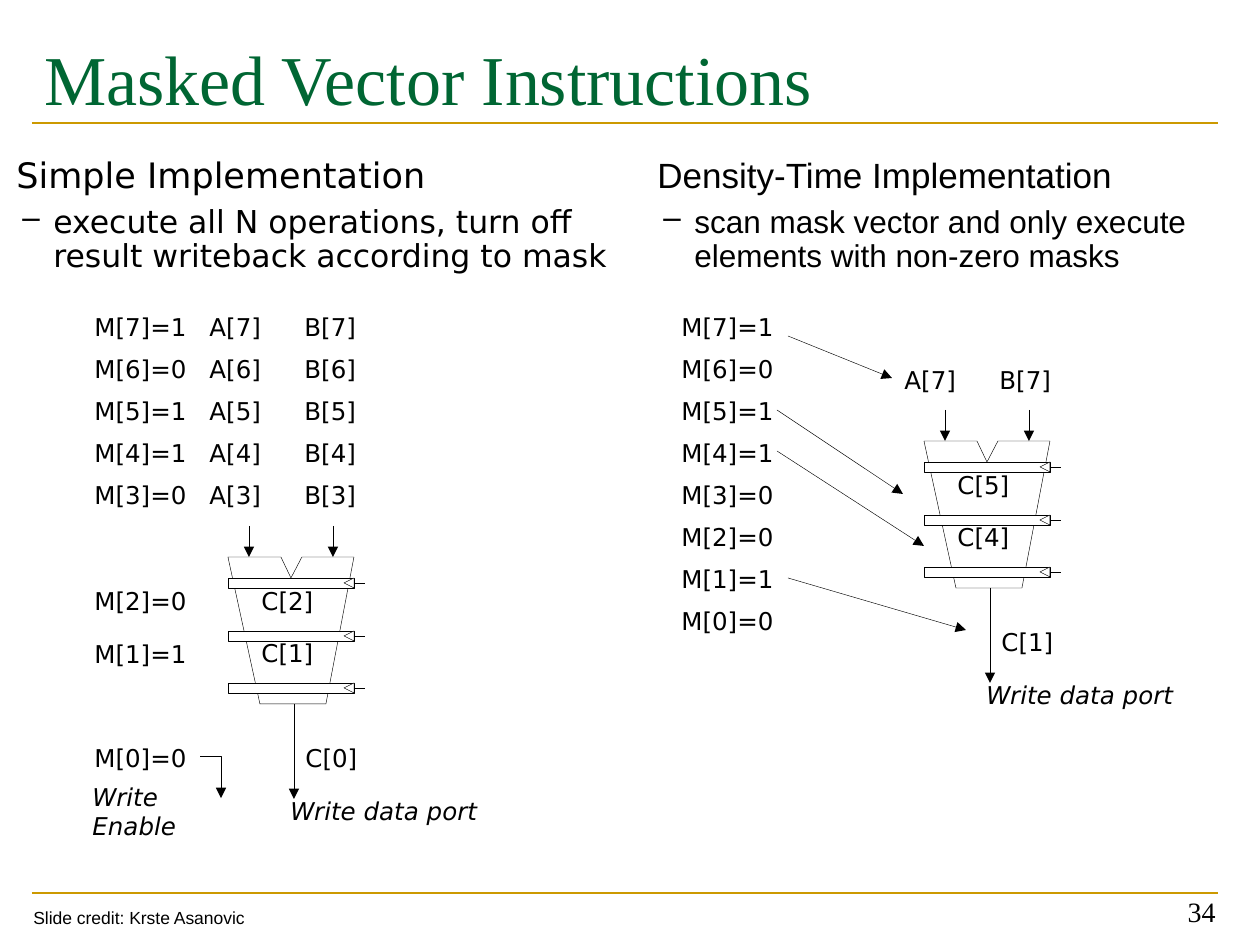
from lxml.etree import SubElement
from pptx import Presentation
from pptx.dml.color import RGBColor as RGB
from pptx.enum.shapes import MSO_CONNECTOR as CONN, MSO_SHAPE as SHAPE
from pptx.enum.text import MSO_ANCHOR as ANCHOR, MSO_AUTO_SIZE as AUTO, PP_ALIGN as ALIGN
from pptx.oxml.ns import qn
from pptx.util import Emu, Pt

SCALE = 914400 / 126


class Theme:
    black, white = RGB(0, 0, 0), RGB(255, 255, 255)
    gold, green = RGB(0xCC, 0x99, 0x00), RGB(0x00, 0x66, 0x33)
    serif, sans, label = "Times New Roman", "Arial", "DejaVu Sans"
    title, heading, bullet, number, body, credit = map(Pt, (40, 20, 18, 16, 14, 10))
    thin, rule = Pt(0.25), Pt(1.5)


prs = Presentation()
prs.slide_width, prs.slide_height = (Emu(round(n * SCALE)) for n in (1260, 945))
slide = prs.slides.add_slide(prs.slide_layouts[6])
shapes = slide.shapes


def add_text(box, lines, color=Theme.black, frame=None, **font):
    tf = shapes.add_textbox(*(Emu(round(n * SCALE)) for n in box)).text_frame
    settings = {"word_wrap": False, "vertical_anchor": ANCHOR.MIDDLE, **(frame or {})}
    for name, value in settings.items():
        setattr(tf, name, value)
    for i, line in enumerate(lines):
        p = tf.add_paragraph() if i else tf.paragraphs[0]
        r = p.add_run()
        r.text = line
        r.font.color.rgb = color
        for name, value in {"name": Theme.label, "size": Theme.body, **font}.items():
            setattr(r.font, name, value)
    return tf


def draw(s, fill=None, color=Theme.black, width=Theme.thin, arrow=False):
    if fill is not None:
        s.fill.solid()
        s.fill.fore_color.rgb = fill
    elif hasattr(s, "fill"):
        s.fill.background()
    s.line.color.rgb = color
    s.line.width = width
    spPr = s._element.spPr
    if arrow:
        SubElement(spPr.find(qn("a:ln")), qn("a:tailEnd"), type="triangle")
    SubElement(spPr, qn("a:effectLst"))
    return s


# Rules, title and footer
for y in (893, 123):
    ends = (Emu(round(n * SCALE)) for n in (32, y, 1218, y))
    draw(shapes.add_connector(CONN.STRAIGHT, *ends), color=Theme.gold, width=Theme.rule)
add_text((32, 21, 1187, 147), ["Masked Vector Instructions"], Theme.green,
         {"word_wrap": True, "vertical_anchor": ANCHOR.TOP, "margin_top": Emu(round(15 * SCALE))},
         name=Theme.serif, size=Theme.title)
tf = add_text((934, 871, 294, 63), ["34"], frame={"vertical_anchor": ANCHOR.BOTTOM},
              name=Theme.serif, size=Theme.number)
tf.word_wrap = True
tf.paragraphs[0].alignment = ALIGN.RIGHT
add_text((21, 901, 239, 34), ["Slide credit: Krste Asanovic"],
         frame={"vertical_anchor": ANCHOR.TOP}, name=Theme.sans, size=Theme.credit)

# Heading and bullet of each half
headings = [
    ((-53, 150, 683, 132), Theme.label, "Simple Implementation",
     "execute all N operations, turn off result writeback according to mask"),
    ((588, 150, 651, 132), Theme.sans, "Density-Time Implementation",
     "scan mask vector and only execute elements with non-zero masks"),
]
for box, face, heading, bullet in headings:
    tf = add_text(box, [heading, bullet], frame={"word_wrap": True}, name=face)
    levels = ((Theme.heading, 57, 0), (Theme.bullet, 94, -31))
    for level, (p, (size, margin, indent)) in enumerate(zip(tf.paragraphs, levels)):
        formats = {"level": level, "line_spacing": 0.9, "space_before": Pt(6)}
        for name, value in formats.items():
            setattr(p, name, value)
        p.runs[0].font.size = size
        pPr = p._p.get_or_add_pPr()
        pPr.set("marL", str(round(margin * SCALE)))
        pPr.set("indent", str(round(indent * SCALE)))
    SubElement(pPr, qn("a:buChar"), char="–")

# Pipelines: origin, then results in stage 1, stage 2 and at the output
pipelines = [(228, 557, ("C[2]", "C[1]", "C[0]")), (924, 441, ("C[5]", "C[4]", "C[1]"))]
funnel = [(32, 147), (98, 147), (126, 0), (74, 0), (63, 21), (53, 0)]
for x, y, results in pipelines:
    fb = shapes.build_freeform(x, y, scale=SCALE)
    fb.add_line_segments([(x + dx, y + dy) for dx, dy in funnel], close=True)
    draw(fb.convert_to_shape())

    # Latches with clock marks
    for top in (y + 21, y + 74, y + 126):
        box = (Emu(round(n * SCALE)) for n in (x, top, 126, 10))
        latch = draw(shapes.add_shape(SHAPE.RECTANGLE, *box), Theme.white)
        fb = shapes.build_freeform(x + 126, top + 10, scale=SCALE)
        fb.add_line_segments([(x + 116, top + 5), (x + 126, top)], close=True)
        draw(fb.convert_to_shape(), Theme.white)
        ends = (Emu(round(n * SCALE)) for n in (x + 126, top + 5, x + 137, top + 5))
        clock = draw(shapes.add_connector(CONN.STRAIGHT, *ends))
        clock.begin_connect(latch, 3)

    # Input and output arrows
    for dx, start, end in ((21, -31, 0), (105, -31, 0), (66, 147, 242)):
        ends = (Emu(round(n * SCALE)) for n in (x + dx, y + start, x + dx, y + end))
        draw(shapes.add_connector(CONN.STRAIGHT, *ends), arrow=True)

    for result, (dx, dy) in zip(results, ((21, 23), (21, 75), (65, 180))):
        add_text((x + dx, y + dy, 81, 42), [result])
    add_text((x + 50, y + 233, 213, 42), ["Write data port"], italic=True)

# Mask bits, from M[7] down to M[0]
rows = [306 + 42 * i for i in range(8)]
simple_rows = rows[:5] + [580, 633, 737]
for i, bit in enumerate("10110010"):
    for x, y in ((82, simple_rows[i]), (669, rows[i])):
        add_text((x, y, 120, 42), [f"M[{7 - i}]={bit}"])

# Operands
operands = [(197, y, 7 - i) for i, y in enumerate(rows[:5])] + [(892, 359, 7)]
for x, y, index in operands:
    for dx, vector in ((0, "A"), (95, "B")):
        add_text((x + dx, y, 80, 42), [f"{vector}[{index}]"])

# Write enable
fb = shapes.build_freeform(200, 756, scale=SCALE)
fb.add_line_segments([(221, 756), (221, 798)], close=False)
draw(fb.convert_to_shape(), arrow=True)
add_text((80, 790, 181, 42), ["Write Enable"], italic=True)

# Set mask bits to the elements in flight
for points in ((788, 336, 892, 378), (777, 410, 903, 494),
               (777, 451, 924, 546), (788, 578, 966, 630)):
    ends = (Emu(round(n * SCALE)) for n in points)
    draw(shapes.add_connector(CONN.STRAIGHT, *ends), arrow=True)

for s in shapes:
    if s.has_text_frame and s.text_frame.word_wrap is False:
        s.text_frame.auto_size = AUTO.SHAPE_TO_FIT_TEXT

prs.save("out.pptx")
